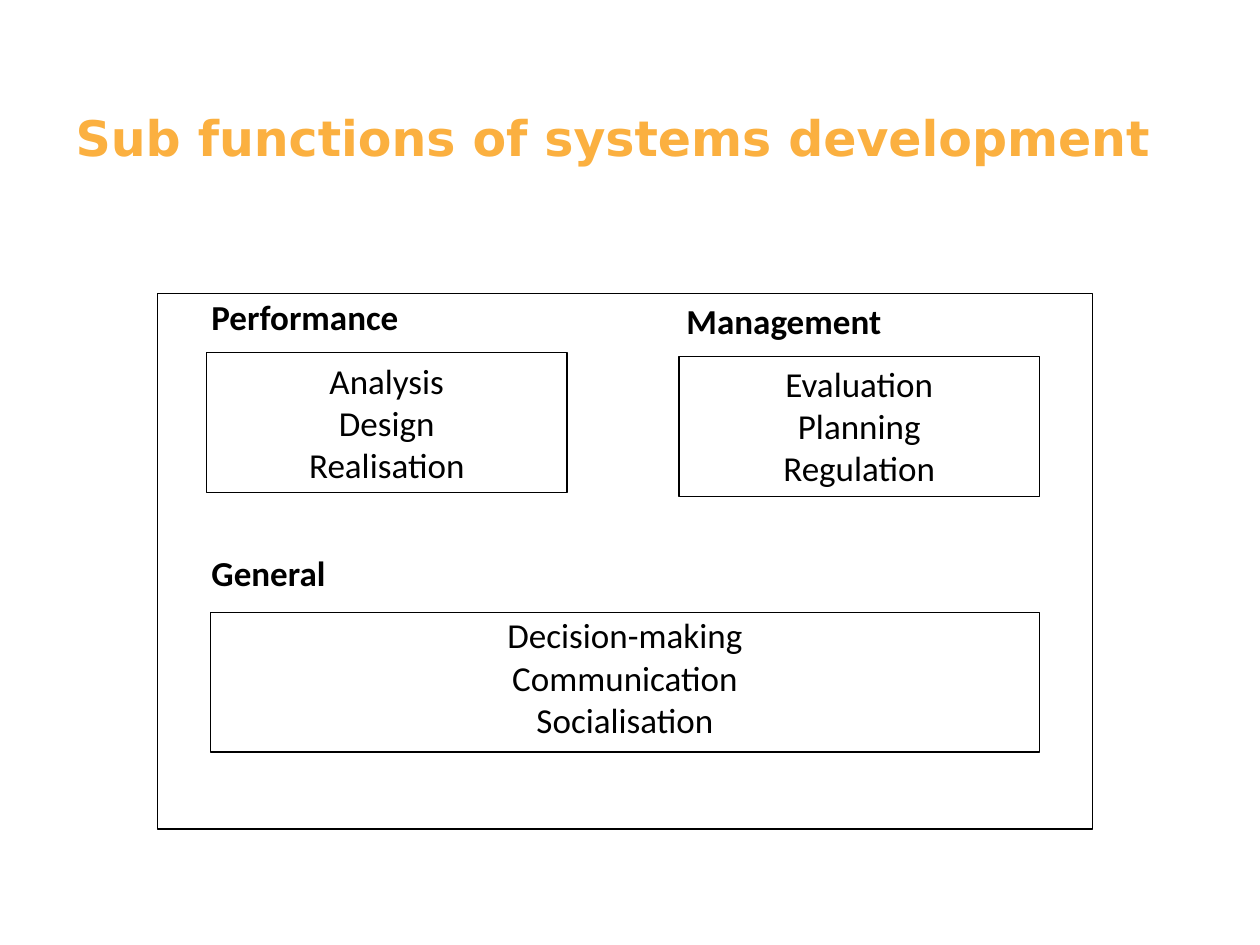
"""Build a slide showing the sub functions of systems development."""
import pptx
import pptx.dml.color
import pptx.enum.shapes
import pptx.enum.text
import pptx.util
from pptx.util import Inches

ALIGN = pptx.enum.text.PP_ALIGN
BLACK = "000000"


def color(value):
    return pptx.dml.color.RGBColor.from_string(value)


def write(frame, lines, size=20, font="Calibri", fill=BLACK, bold=False,
          align=ALIGN.LEFT, wrap=True, first_spacing=None):
    frame.word_wrap = wrap
    frame.vertical_anchor = pptx.enum.text.MSO_ANCHOR.TOP
    for index, line in enumerate(lines):
        para = frame.paragraphs[0] if index == 0 else frame.add_paragraph()
        para.alignment = align
        if index == 0 and first_spacing:
            para.line_spacing = first_spacing
        span = para.add_run()
        span.text = line
        span.font.size = pptx.util.Pt(size)
        span.font.name = font
        span.font.bold = bold
        span.font.color.rgb = color(fill)


deck = pptx.Presentation()
deck.slide_width, deck.slide_height = Inches(10), Inches(7.5)
slide = deck.slides.add_slide(deck.slide_layouts[5])

title = slide.shapes.title
title.left, title.top = Inches(0.5), Inches(0.8)
title.width, title.height = Inches(9), Inches(1.25)
write(title.text_frame, ["Sub functions of systems development"],
      size=28, font="DejaVu Sans", fill="FBB040", bold=True)
title.text_frame.auto_size = pptx.enum.text.MSO_AUTO_SIZE.NONE

boxes = [
    (1.64, 2.8, 2.86, 1.11, ["Analysis", "Design", "Realisation"], None),
    (5.39, 2.83, 2.86, 1.11, ["Evaluation", "Planning", "Regulation"], None),
    (1.67, 4.86, 6.58, 1.11,
     ["Decision-making", "Communication", "Socialisation"], 0.9),
    (1.25, 2.33, 7.42, 4.25, [], None),
]
for left, top, width, height, functions, first_spacing in boxes:
    box = slide.shapes.add_shape(
        pptx.enum.shapes.MSO_SHAPE.RECTANGLE,
        Inches(left), Inches(top), Inches(width), Inches(height))
    box.shadow.inherit = False
    box.fill.background()
    box.line.color.rgb = color(BLACK)
    box.line.width = pptx.util.Pt(0.75)
    write(box.text_frame, functions, align=ALIGN.CENTER,
          first_spacing=first_spacing)

headings = [
    ("Performance", 1.58, 2.3, 1.7),
    ("Management", 5.35, 2.33, 1.76),
    ("General", 1.58, 4.33, 1.12),
]
for heading, left, top, width in headings:
    label = slide.shapes.add_textbox(
        Inches(left), Inches(top), Inches(width), Inches(0.44))
    write(label.text_frame, [heading], bold=True, wrap=False)

deck.save("out.pptx")
